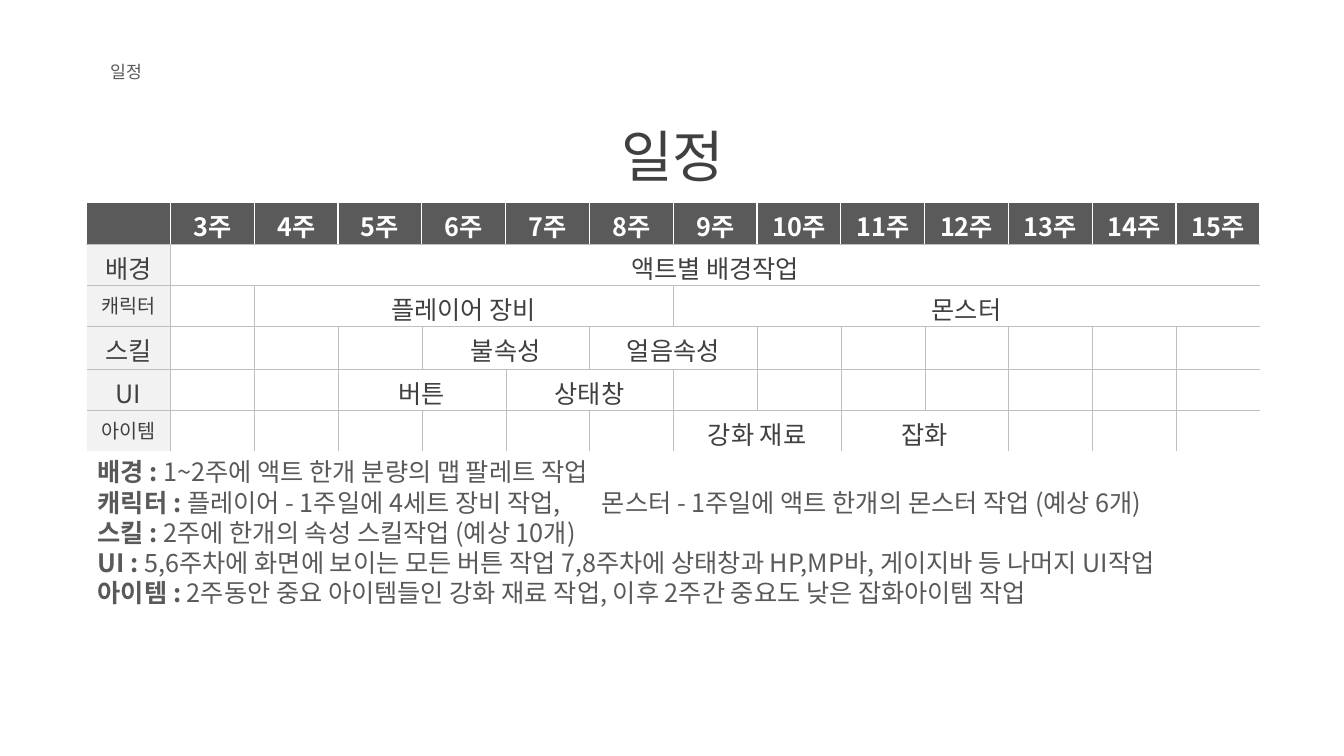
from lxml.etree import SubElement
from pptx import Presentation
from pptx.dml.color import RGBColor
from pptx.enum.text import MSO_ANCHOR, MSO_AUTO_SIZE, PP_ALIGN
from pptx.oxml.ns import qn
from pptx.util import Inches, Pt

FONT = "Noto Sans CJK KR"
COLORS = {
    "text": "595959",
    "dark": "404040",
    "header": "5A5A5A",
    "label": "F2F2F2",
    "grid": "BFBFBF",
    "white": "FFFFFF",
}
FIRST_WEEK, LAST_WEEK = 3, 15
ROW_HEIGHTS = [0.41, 0.41, 0.41, 0.42, 0.41, 0.41]
TASKS = [
    ("배경", 18, [(3, 15, "액트별 배경작업")]),
    ("캐릭터", 14, [(4, 8, "플레이어 장비"), (9, 15, "몬스터")]),
    ("스킬", 18, [(6, 7, "불속성"), (8, 9, "얼음속성")]),
    ("UI", 18, [(5, 6, "버튼"), (7, 8, "상태창")]),
    ("아이템", 14, [(9, 10, "강화 재료"), (11, 12, "잡화")]),
]
NOTES = [
    ("배경 :", " 1~2주에 액트 한개 분량의 맵 팔레트 작업"),
    ("캐릭터 : ", "플레이어 - 1주일에 4세트 장비 작업,\t몬스터 - 1주일에 액트 한개의 몬스터 작업 (예상 6개)"),
    ("스킬 :", " 2주에 한개의 속성 스킬작업 (예상 10개)"),
    ("UI :", " 5,6주차에 화면에 보이는 모든 버튼 작업 7,8주차에 상태창과 HP,MP바, 게이지바 등 나머지 UI작업"),
    ("아이템 :", " 2주동안 중요 아이템들인 강화 재료 작업, 이후 2주간 중요도 낮은 잡화아이템 작업"),
]


class SchedulePage:
    """Holds the text style and the current slide."""

    def __init__(self, deck):
        self.page = deck.slides.add_slide(deck.slide_layouts[1])

    def style(self, span, size, color, bold=False):
        """Format one run in the slide's font."""
        span.font.name = FONT
        span.font.size = Pt(size)
        span.font.bold = bold
        span.font.color.rgb = RGBColor.from_string(COLORS[color])
        latin = span.font._element.find(qn("a:latin"))
        east_asian = SubElement(span.font._element, qn("a:ea"), typeface=FONT)
        latin.addnext(east_asian)

    def place(self, box, left, top, width, height):
        """Position a text shape and set its frame."""
        box.left, box.top = Inches(left), Inches(top)
        box.width, box.height = Inches(width), Inches(height)
        frame = box.text_frame
        frame.margin_left = frame.margin_right = Inches(0.12)
        frame.margin_top = frame.margin_bottom = Inches(0.06)
        frame.vertical_anchor = MSO_ANCHOR.TOP
        frame.word_wrap = True
        frame.auto_size = MSO_AUTO_SIZE.SHAPE_TO_FIT_TEXT
        return frame

    def set_line(self, paragraph, text, size, color, bold=False, align=PP_ALIGN.CENTER):
        """Fill a paragraph with one styled run."""
        paragraph.text = text
        paragraph.alignment = align
        self.style(paragraph.runs[0], size, color, bold)

    def caption(self, text):
        """Add the small heading at the top left."""
        box = self.page.shapes.add_textbox(0, 0, 0, 0)
        frame = self.place(box, 0.98, 0.55, 1.85, 0.33)
        self.set_line(frame.paragraphs[0], text, 12.3, "text", align=PP_ALIGN.LEFT)

    def title(self, text):
        """Fill the title placeholder."""
        frame = self.place(self.page.shapes.title, 3.99, 1.15, 5.36, 0.8)
        self.set_line(frame.paragraphs[0], text, 40, "dark")

    def notes(self, items):
        """Fill the body placeholder with a bold label and a text per line."""
        frame = self.place(self.page.placeholders[1], 0.85, 4.47, 11.79, 2.73)
        for index, (label, text) in enumerate(items):
            paragraph = frame.add_paragraph() if index else frame.paragraphs[0]
            properties = paragraph._p.get_or_add_pPr()
            properties.set("marL", "0")
            properties.set("indent", "0")
            SubElement(properties, qn("a:buNone"))
            if "\t" in text:
                tabs = SubElement(properties, qn("a:tabLst"))
                SubElement(tabs, qn("a:tab"), pos=str(Inches(5.29)), algn="l")
            paragraph.space_before = Pt(0)
            for part, bold in ((label, True), (text, False)):
                span = paragraph.add_run()
                span.text = part
                self.style(span, 18, "text", bold)

    def border(self, cell, side, color, width):
        """Draw one cell edge, or hide it when no colour is given."""
        properties = cell._tc.get_or_add_tcPr()
        line = SubElement(properties, qn(f"a:ln{side}"), w=str(Pt(width)))
        if color:
            fill = SubElement(line, qn("a:solidFill"))
            SubElement(fill, qn("a:srgbClr"), val=COLORS[color])
        else:
            SubElement(line, qn("a:noFill"))

    def paint(self, cell, row, column, last_row, last_column):
        """Set the edges and fill of a cell by its place in the grid."""
        header = row == 0
        outer = {
            "L": column == 0,
            "R": column + cell.span_width - 1 >= last_column,
            "T": False,
            "B": row == last_row,
        }
        for side in "LRTB":
            if header and side != "B":
                self.border(cell, side, "white", 1)
            else:
                hidden = outer[side] and not header
                self.border(cell, side, None if hidden else "grid", 0.25)
        color = "header" if header else "white" if column else "label"
        cell.fill.solid()
        cell.fill.fore_color.rgb = RGBColor.from_string(COLORS[color])

    def schedule(self, tasks):
        """Add the week table with merged cells for each task."""
        rows, columns = len(tasks) + 1, LAST_WEEK - FIRST_WEEK + 2
        table = self.page.shapes.add_table(
            rows, columns, Inches(0.86), Inches(2.01), Inches(11.64), Inches(sum(ROW_HEIGHTS))
        ).table
        table.horz_banding = False
        for column in table.columns:
            column.width = Inches(11.64 / columns)
        for row, height in zip(table.rows, ROW_HEIGHTS):
            row.height = Inches(height)
        for week in range(FIRST_WEEK, LAST_WEEK + 1):
            heading = table.cell(0, week - FIRST_WEEK + 1).text_frame.paragraphs[0]
            self.set_line(heading, f"{week}주", 18, "white", bold=True)
        for row, (label, size, spans) in enumerate(tasks, 1):
            self.set_line(table.cell(row, 0).text_frame.paragraphs[0], label, size, "dark")
            for start, end, text in spans:
                cell = table.cell(row, start - FIRST_WEEK + 1)
                cell.merge(table.cell(row, end - FIRST_WEEK + 1))
                self.set_line(cell.text_frame.paragraphs[0], text, 18, "dark")
        for row in range(rows):
            for column in range(columns):
                cell = table.cell(row, column)
                if not cell.is_spanned:
                    self.paint(cell, row, column, rows - 1, columns - 1)


def main():
    """Build and save the schedule slide."""
    deck = Presentation()
    deck.slide_width, deck.slide_height = Inches(13.33), Inches(7.5)
    page = SchedulePage(deck)
    page.caption("일정")
    page.title("일정")
    page.schedule(TASKS)
    page.notes(NOTES)
    deck.save("out.pptx")


if __name__ == "__main__":
    main()
